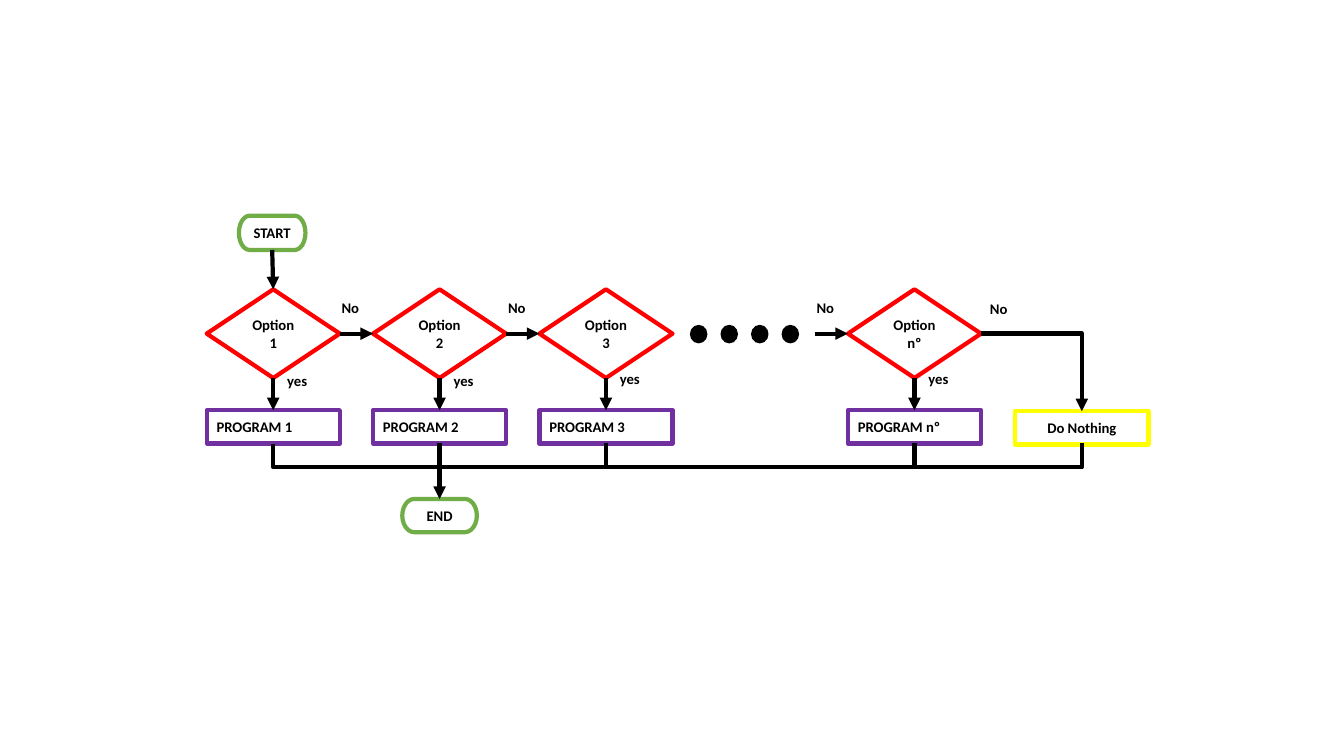
from collections import namedtuple
from dataclasses import dataclass

from pptx import Presentation
from pptx import util as u
from pptx.dml.color import RGBColor
from pptx.enum import shapes, text
from pptx.oxml import ns
from lxml import etree


@dataclass(frozen=True)
class Theme:
    font: str = "Calibri"
    size: float = 10.5
    line: float = 3
    dot_line: float = 1
    ink: str = "000000"
    terminal: str = "70AD47"
    decision: str = "FF0000"
    program: str = "7030A0"
    idle: str = "FFFF00"


THEME = Theme()
KIND = shapes.MSO_SHAPE
CENTER, LEFT = text.PP_ALIGN.CENTER, text.PP_ALIGN.LEFT
TOP_SITE, LEFT_SITE, BOTTOM_SITE, RIGHT_SITE = range(4)
Box = namedtuple("Box", "left top width height")
Branch = namedtuple("Branch", "left name yes_top")

BRANCHES = [Branch(0, "1", 0.77), Branch(1.65, "2", 0.77),
            Branch(3.3, "3", 0.75), Branch(6.36, "nº", 0.75)]
IDLE_LEFT = 8.02
STEP_WIDTH, STEP_HEIGHT, DIAMOND_HEIGHT = 1.32, 0.33, 0.88
BRANCH_TOP, PROGRAM_DROP, IDLE_DROP = 0.73, 1.2, 1.21


def inside(box, left, top, width, height):
    return Box(box.left + left, box.top + top, width, height)


def inches(*lengths):
    return [u.Inches(length) for length in lengths]


def write(frame, words, align):
    frame.text = words
    para = frame.paragraphs[0]
    para.alignment = align
    font = para.runs[0].font
    font.name, font.size, font.bold = THEME.font, u.Pt(THEME.size), True
    font.color.rgb = RGBColor.from_string(THEME.ink)


def add_node(page, kind, box, color, words="", align=CENTER):
    node = page.shapes.add_shape(kind, *inches(*box))
    node.shadow.inherit = False
    node.fill.background()
    node.line.color.rgb = RGBColor.from_string(color)
    node.line.width = u.Pt(THEME.line)
    if words:
        node.text_frame.vertical_anchor = text.MSO_ANCHOR.MIDDLE
        write(node.text_frame, words, align)
    return node


def add_label(page, box, words):
    label = page.shapes.add_textbox(*inches(*box))
    label.text_frame.word_wrap = False
    write(label.text_frame, words, LEFT)


def add_line(page, start, end, kind=shapes.MSO_CONNECTOR.STRAIGHT, arrow=True):
    line = page.shapes.add_connector(kind, *inches(*start, *end))
    line.line.color.rgb = RGBColor.from_string(THEME.ink)
    line.line.width = u.Pt(THEME.line)
    if arrow:
        outline = line.line._get_or_add_ln()
        etree.SubElement(outline, ns.qn("a:tailEnd"), type="triangle")
    etree.SubElement(line.element.spPr, ns.qn("a:effectLst"))
    return line


def link(page, source, source_site, target, target_site):
    line = add_line(page, (0, 0), (1, 1))
    line.begin_connect(source, source_site)
    line.end_connect(target, target_site)


def add_return(page, right, left, y, depth=0.25):
    """U-shaped line: down from the right step, along, and up to the left one."""
    thin, span = 0.01, right - left
    x, top = (right + left - thin) / 2, y + (thin - span) / 2
    line = add_line(page, (x, top), (x + thin, top + span),
                    shapes.MSO_CONNECTOR.ELBOW, arrow=False)
    frame = line.element.spPr
    frame.find(ns.qn("a:xfrm")).set("rot", str(90 * 60000))
    geometry = frame.find(ns.qn("a:prstGeom"))
    guides = geometry.find(ns.qn("a:avLst"))
    if guides is None:
        guides = etree.SubElement(geometry, ns.qn("a:avLst"))
    etree.SubElement(guides, ns.qn("a:gd"), name="adj1",
                     fmla=f"val {round(depth / thin * 100000)}")


def add_branch(page, box, branch):
    """A decision with the program it starts."""
    option = add_node(page, KIND.FLOWCHART_DECISION,
                      inside(box, 0, 0, STEP_WIDTH, DIAMOND_HEIGHT),
                      THEME.decision, f"Option {branch.name}")
    program = add_node(page, KIND.FLOWCHART_PROCESS,
                       inside(box, 0, PROGRAM_DROP, STEP_WIDTH, STEP_HEIGHT),
                       THEME.program, f"PROGRAM {branch.name}", LEFT)
    link(page, option, BOTTOM_SITE, program, TOP_SITE)
    add_label(page, inside(box, 0.7, branch.yes_top, 0.41, 0.28), "yes")
    return option, program


def add_dots(page, box, count=4, pitch=0.303):
    """Dots standing for the options left out."""
    for index in range(count):
        dot = add_node(page, KIND.FLOWCHART_CONNECTOR,
                       inside(box, index * pitch, 0, 0.16, box.height), THEME.ink)
        dot.fill.solid()
        dot.fill.fore_color.rgb = RGBColor.from_string(THEME.ink)
        dot.line.width = u.Pt(THEME.dot_line)


def add_idle(page, box):
    """The step taken when no option applies, entered from the last decision."""
    add_node(page, KIND.FLOWCHART_PROCESS,
             inside(box, 0, IDLE_DROP, STEP_WIDTH, STEP_HEIGHT),
             THEME.idle, "Do Nothing")
    middle = box.top + DIAMOND_HEIGHT / 2
    elbow = add_line(page, (box.left - 0.34, middle),
                     (box.left + STEP_WIDTH / 2, box.top + IDLE_DROP),
                     shapes.MSO_CONNECTOR.ELBOW)
    elbow.element.spPr.find(ns.qn("a:prstGeom")).set("prst", "bentConnector2")
    add_label(page, inside(box, -0.35, 0.06, 0.38, 0.28), "No")


def add_flowchart(page, box):
    # Terminals
    start = add_node(page, KIND.FLOWCHART_TERMINATOR,
                     inside(box, 0.32, 0, 0.66, 0.34), THEME.terminal, "START")
    end = add_node(page, KIND.FLOWCHART_TERMINATOR,
                   inside(box, 1.94, 2.81, 0.74, 0.33), THEME.terminal, "END")

    # Branches
    areas = [inside(box, branch.left, BRANCH_TOP, STEP_WIDTH, 1.53)
             for branch in BRANCHES]
    pairs = [add_branch(page, area, branch)
             for area, branch in zip(areas, BRANCHES)]
    options, programs = zip(*pairs)
    link(page, start, BOTTOM_SITE, options[0], TOP_SITE)
    link(page, programs[1], BOTTOM_SITE, end, TOP_SITE)

    # Ways from one decision to the next
    for before, after in zip(options[:2], options[1:3]):
        link(page, before, RIGHT_SITE, after, LEFT_SITE)
    last = areas[-1]
    middle = last.top + DIAMOND_HEIGHT / 2
    add_dots(page, inside(box, 4.8, 1.09, 1.07, 0.17))
    add_line(page, (last.left - 0.33, middle), (last.left, middle))
    for area in areas[1:]:
        add_label(page, inside(area, -0.41, 0.05, 0.38, 0.28), "No")

    # Nothing chosen
    idle = inside(box, IDLE_LEFT, BRANCH_TOP, STEP_WIDTH, 1.54)
    add_idle(page, idle)

    # Ways back to the end
    centers = [area.left + STEP_WIDTH / 2 for area in areas + [idle]]
    for left, right in zip(centers, centers[1:]):
        add_return(page, right, left, box.top + 2.25)


deck = Presentation()
deck.slide_width, deck.slide_height = inches(13.33, 7.5)
page = deck.slides.add_slide(deck.slide_layouts[6])
add_flowchart(page, Box(2.05, 2.14, 9.34, 3.14))
deck.save("out.pptx")
